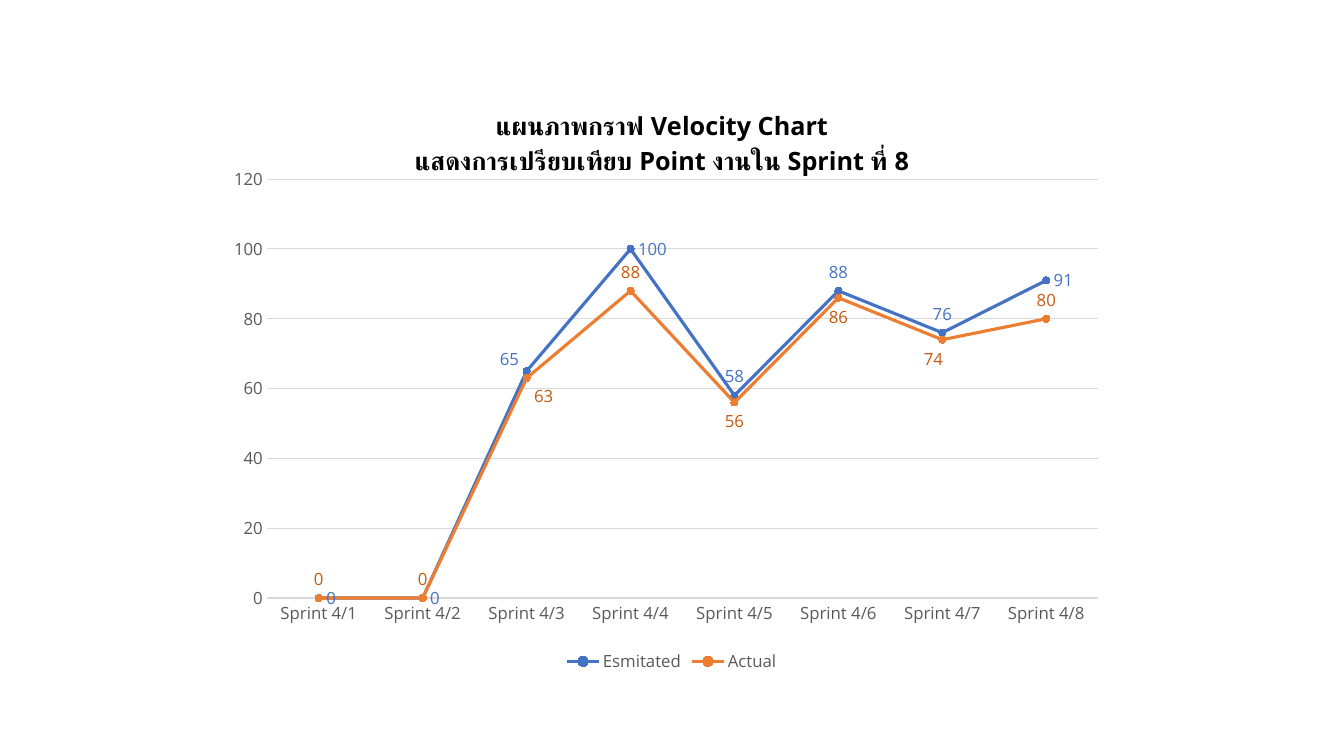
import pptx
import pptx.chart.data
import pptx.dml.color
import pptx.enum.chart
import pptx.enum.text
import pptx.oxml
import pptx.oxml.ns
import pptx.util
from pptx.util import Cm

FONT = "Open Sans"
COLOURS = {
    "title": "000000",
    "axis_text": "595959",
    "grid": "D9D9D9",
    "estimated": "4472C4",
    "actual": "ED7D31",
    "actual_label": "C55A11",
}
TITLE_LINES = ["แผนภาพกราฟ Velocity Chart",
               "แสดงการเปรียบเทียบ Point งานใน Sprint ที่ 8"]
SPRINTS = [f"Sprint 4/{number}" for number in range(1, 9)]
ESTIMATED_POINTS = [0, 0, 65, 100, 58, 88, 76, 91]
ACTUAL_POINTS = [0, 0, 63, 88, 56, 86, 74, 80]

LABEL = pptx.enum.chart.XL_LABEL_POSITION
# Point index: (label position, shift as a fraction of the chart size)
ESTIMATED_LABELS = {2: (LABEL.LEFT, (0, -0.02)), 4: (LABEL.ABOVE, None),
                    5: (LABEL.ABOVE, None), 6: (LABEL.ABOVE, None)}
ACTUAL_LABELS = {2: (LABEL.RIGHT, (0, 0.03)), 4: (LABEL.BELOW, None),
                 5: (LABEL.BELOW, None), 6: (LABEL.BELOW, (-0.01, 0))}


def rgb(colour):
    return pptx.dml.color.RGBColor.from_string(COLOURS[colour])


def format_font(font, size=12, colour="axis_text", bold=False):
    font.name = FONT
    font.size = pptx.util.Pt(size)
    font.bold = bold
    font.color.rgb = rgb(colour)


def write_text(paragraph, text, **font_format):
    run = paragraph.add_run()
    run.text = text
    paragraph.alignment = pptx.enum.text.PP_ALIGN.CENTER
    format_font(run.font, **font_format)


def format_line(line, colour, width):
    line.color.rgb = rgb(colour)
    line.width = pptx.util.Pt(width)


def set_layout(parent, index, **settings):
    """Give a chart part a manual layout, as the child at index."""
    for old_layout in parent.findall(pptx.oxml.ns.qn("c:layout")):
        parent.remove(old_layout)
    values = "".join(f'<c:{key} val="{value}"/>' for key, value in settings.items())
    parent.insert(index, pptx.oxml.parse_xml(
        f'<c:layout {pptx.oxml.ns.nsdecls("c")}>'
        f'<c:manualLayout>{values}</c:manualLayout></c:layout>'))


def add_title(chart):
    title = chart.chart_title
    frame = title.text_frame
    for number, text in enumerate(TITLE_LINES):
        paragraph = frame.add_paragraph() if number else frame.paragraphs[0]
        write_text(paragraph, text, size=18, colour="title", bold=True)
    title.include_in_layout = False
    set_layout(title._element, 1, xMode="edge", yMode="edge", x=0.21, y=0.04)


def format_axes(chart):
    sprint_axis, point_axis = chart.category_axis, chart.value_axis
    for axis in (sprint_axis, point_axis):
        format_font(axis.tick_labels.font)
        axis.major_tick_mark = pptx.enum.chart.XL_TICK_MARK.NONE
        axis.minor_tick_mark = pptx.enum.chart.XL_TICK_MARK.NONE
    format_line(sprint_axis.format.line, "grid", 0.75)
    point_axis.format.line.fill.background()
    point_axis.minimum_scale, point_axis.maximum_scale = 0, 120
    point_axis.major_unit = 20
    point_axis.has_major_gridlines = True
    format_line(point_axis.major_gridlines.format.line, "grid", 0.75)


def format_series(series, colour, label_colour, position, moved_labels):
    series.smooth = False
    format_line(series.format.line, colour, 2.25)
    marker = series.marker
    marker.style = pptx.enum.chart.XL_MARKER_STYLE.CIRCLE
    marker.size = 5
    marker.format.fill.solid()
    marker.format.fill.fore_color.rgb = rgb(colour)
    format_line(marker.format.line, colour, 0.75)

    # Value labels
    labels = series.data_labels
    labels.show_value = True
    labels.position = position
    format_font(labels.font, colour=label_colour)
    for index, (point_position, shift) in moved_labels.items():
        label = series.points[index].data_label
        format_font(label.font, colour=label_colour)
        label.position = point_position
        if shift:
            element = series._element.xpath(f"c:dLbls/c:dLbl[c:idx/@val='{index}']")[0]
            set_layout(element, 1, x=shift[0], y=shift[1])


def add_velocity_chart(slide):
    velocity = pptx.chart.data.CategoryChartData()
    velocity.categories = SPRINTS
    velocity.add_series("Esmitated", ESTIMATED_POINTS)
    velocity.add_series("Actual", ACTUAL_POINTS)
    chart = slide.shapes.add_chart(
        pptx.enum.chart.XL_CHART_TYPE.LINE_MARKERS,
        Cm(5.64), Cm(2), Cm(22.58), Cm(15.06), velocity).chart
    format_font(chart.font, size=10, colour="title")
    add_title(chart)
    format_axes(chart)

    # Plot area and series
    plot = chart.plots[0]
    plot.vary_by_categories = False
    plot_area = chart._chartSpace.chart.plotArea
    set_layout(plot_area, 0, layoutTarget="inner", xMode="edge", yMode="edge",
               x=0.048, y=0.167, w=0.928, h=0.701)
    estimated, actual = plot.series
    format_series(estimated, "estimated", "estimated", LABEL.RIGHT, ESTIMATED_LABELS)
    format_series(actual, "actual", "actual_label", LABEL.ABOVE, ACTUAL_LABELS)

    # Legend
    chart.has_legend = True
    chart.legend.position = pptx.enum.chart.XL_LEGEND_POSITION.BOTTOM
    chart.legend.include_in_layout = False
    format_font(chart.legend.font)


def main():
    presentation = pptx.Presentation()
    presentation.slide_width, presentation.slide_height = Cm(33.87), Cm(19.05)
    blank_layout = presentation.slide_layouts[6]
    add_velocity_chart(presentation.slides.add_slide(blank_layout))
    presentation.save("out.pptx")


main()
